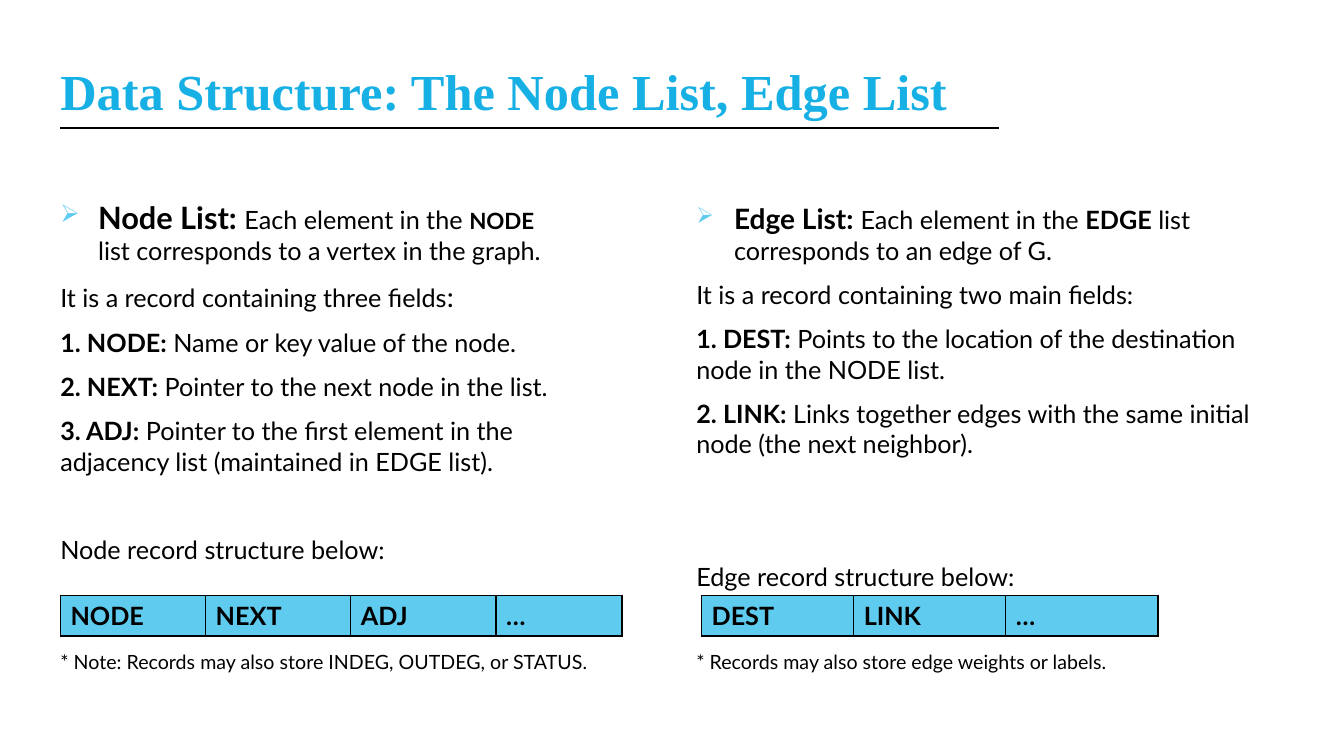
import collections

import pptx
import pptx.dml.color
import pptx.enum.shapes
import pptx.enum.text
import pptx.oxml
import pptx.oxml.ns
import pptx.util

Pt = pptx.util.Pt
Box = collections.namedtuple("Box", "left top width height")

BLACK, SKY, TITLE_BLUE = "000000", "5FCBEF", "17B0E4"
BODY_FONT, BODY_SIZE = "Lato", 18
PARAGRAPH_GAP = 10
SECTION_LINE = BODY_SIZE * 1.2 + PARAGRAPH_GAP


def color(value):
    """Return the colour for a hex string."""
    return pptx.dml.color.RGBColor.from_string(value)


def element(markup):
    """Build a drawing element from markup without its namespace."""
    tag, rest = markup.split(" ", 1)
    return pptx.oxml.parse_xml(f"{tag} {pptx.oxml.ns.nsdecls('a')} {rest}")


def add_span(para, text, size=BODY_SIZE, bold=False, font=BODY_FONT, hue=BLACK):
    """Append a formatted run to a paragraph."""
    span = para.add_run()
    span.text = text
    span.font.name = font
    span.font.size = Pt(size)
    span.font.bold = bold
    span.font.color.rgb = color(hue)


def add_text(page, box, paragraphs):
    """Place a wrapped text box; each paragraph is (space before, spans)."""
    shape = page.shapes.add_textbox(*(Pt(length) for length in box))
    frame = shape.text_frame
    frame.word_wrap = True
    frame.vertical_anchor = pptx.enum.text.MSO_ANCHOR.TOP
    for index, (gap, spans) in enumerate(paragraphs):
        para = frame.add_paragraph() if index else frame.paragraphs[0]
        if index:
            para.space_before = Pt(gap)
        for span in spans:
            add_span(para, *span)
    return frame


def add_bullet(para):
    """Give a paragraph a coloured arrowhead bullet with a hanging indent."""
    properties = para._p.get_or_add_pPr()
    properties.set("marL", str(Pt(27)))
    properties.set("indent", str(-Pt(27)))
    for markup in (
        f'<a:buClr ><a:srgbClr val="{SKY}"/></a:buClr>',
        '<a:buSzPct val="80000"/>',
        '<a:buChar char="➢"/>',
    ):
        properties.append(element(markup))


def add_title(page, box, text):
    """Place the title and the rule beneath it."""
    frame = add_text(page, box, [(0, [(text, 36, True, "Times New Roman", TITLE_BLUE)])])
    frame.margin_top = Pt(8)
    left, rule = box.left + 7.2, box.top + 56.2
    line = page.shapes.add_connector(
        pptx.enum.shapes.MSO_CONNECTOR.STRAIGHT,
        Pt(left), Pt(rule), Pt(left + 670.3), Pt(rule),
    )
    line.line.color.rgb = color(BLACK)
    line.line.width = Pt(1.25)
    line._element.spPr.append(element("<a:effectLst />"))


def add_record(page, left, top, widths, fields):
    """Place a one-row table showing the fields of a record."""
    height = 28.8
    frame = page.shapes.add_table(
        1, len(fields), Pt(left), Pt(top), Pt(sum(widths)), Pt(height)
    )
    table = frame.table
    table.first_row = table.horz_banding = False
    table.rows[0].height = Pt(height)
    for column, width, cell, field in zip(table.columns, widths, table.rows[0].cells, fields):
        column.width = Pt(width)
        add_span(cell.text_frame.paragraphs[0], field, bold=True)
        properties = cell._tc.get_or_add_tcPr()
        for side in "LRTB":
            properties.append(element(
                f'<a:ln{side} w="{Pt(1)}"><a:solidFill><a:srgbClr val="{BLACK}"/>'
                f"</a:solidFill></a:ln{side}>"
            ))
        cell.fill.solid()
        cell.fill.fore_color.rgb = color(SKY)


def add_list_column(page, box, heading, items, closing, empty_lines, record, note):
    """Describe one list: text at the top, record table and note below."""
    paragraphs = [(0, heading)]
    paragraphs += [(PARAGRAPH_GAP, spans) for spans in items]
    paragraphs.append((PARAGRAPH_GAP + empty_lines * SECTION_LINE, [(closing,)]))
    add_bullet(add_text(page, box, paragraphs).paragraphs[0])
    indent, widths, fields = record
    add_record(page, box.left + indent, 425.5, widths, fields)
    note_box = Box(box.left, 460.8, 428, 25)
    add_text(page, note_box, [(0, [(note, 14)])])


def field_item(name, meaning):
    """Return the spans for a numbered field and its meaning."""
    return [(name, BODY_SIZE, True), (meaning,)]


def build_slide(page):
    """Place the title and both list columns."""
    add_title(page, Box(36, 35.3, 676.8, 64.8), "Data Structure: The Node List, Edge List")
    add_list_column(
        page,
        Box(36, 138.2, 376.6, 279.4),
        [("Node List: ", 22, True), ("Each element in the ",), ("NODE", 16, True),
         (" list corresponds to a vertex in the graph.",)],
        [
            [("It is a record containing three fields",), (":", 20)],
            field_item("1. NODE:", " Name or key value of the node."),
            field_item("2. NEXT:", " Pointer to the next node in the list."),
            field_item("3. ADJ:", " Pointer to the first element in the adjacency list "
                       "(maintained in EDGE list)."),
        ],
        "Node record structure below:",
        1,
        (7.2, [103.7] * 3 + [90], ["NODE", "NEXT", "ADJ", "…"]),
        "* Note: Records may also store INDEG, OUTDEG, or STATUS.",
    )
    add_list_column(
        page,
        Box(490.3, 140.4, 427, 267.8),
        [("Edge List: ", 20, True), ("Each element in the ",), ("EDGE", BODY_SIZE, True),
         (" list corresponds to an edge of G.",)],
        [
            [("It is a record containing two main fields:",)],
            field_item("1. DEST:", " Points to the location of the destination node "
                       "in the NODE list."),
            field_item("2. LINK:", " Links together edges with the same initial node "
                       "(the next neighbor)."),
        ],
        "Edge record structure below:",
        2,
        (10.8, [108.7] * 3, ["DEST", "LINK", "…"]),
        "* Records may also store edge weights or labels.",
    )


def main():
    """Build and save the deck."""
    deck = pptx.Presentation()
    deck.slide_width, deck.slide_height = Pt(960), Pt(540)
    build_slide(deck.slides.add_slide(deck.slide_layouts[6]))
    deck.save("out.pptx")


if __name__ == "__main__":
    main()
